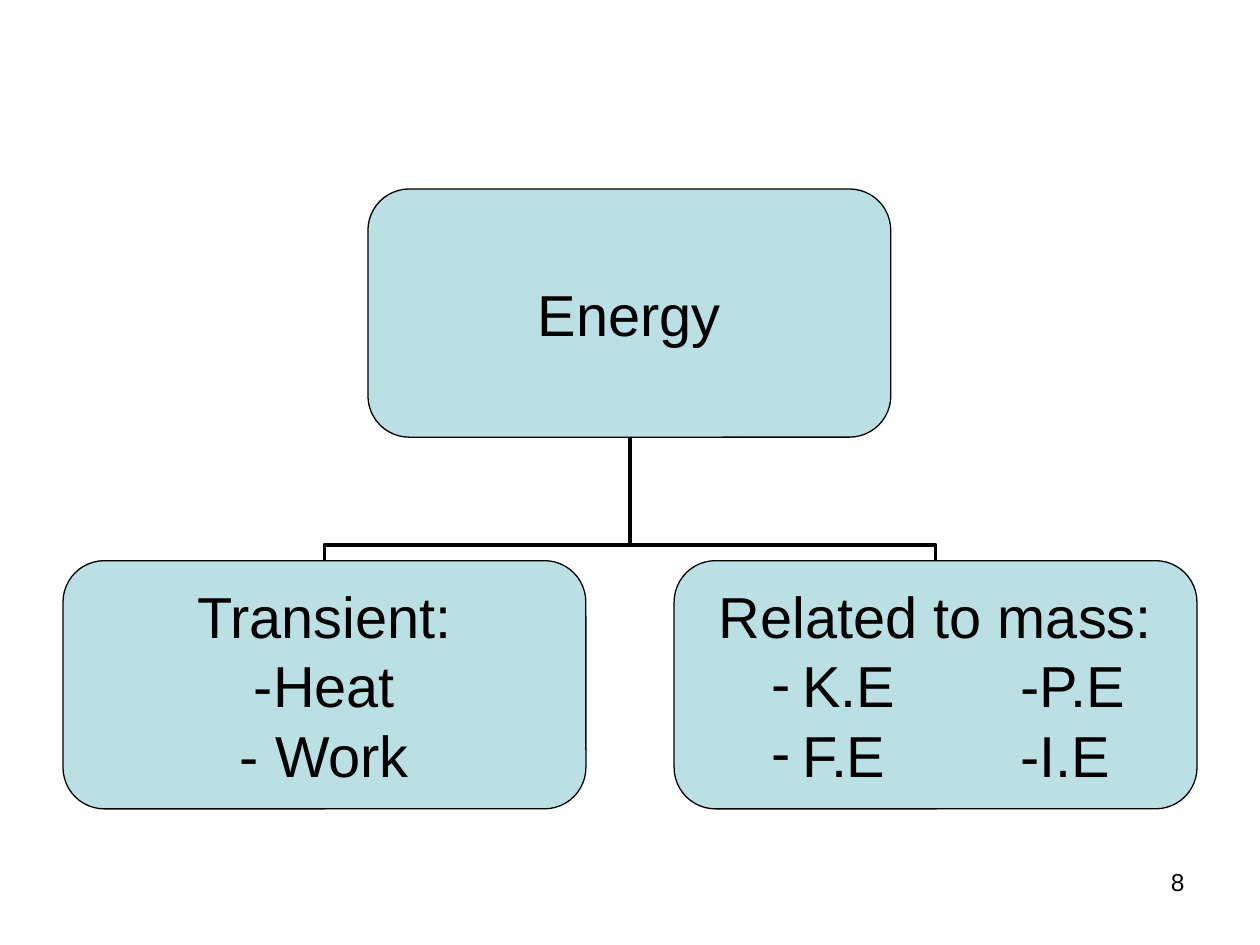
import pptx
import pptx.util
import pptx.dml.color
import pptx.enum.shapes
import pptx.enum.text
import lxml.etree
from dataclasses import dataclass

Inches, Pt = pptx.util.Inches, pptx.util.Pt
RGB = pptx.dml.color.RGBColor
ALIGN = pptx.enum.text.PP_ALIGN
ANCHOR = pptx.enum.text.MSO_ANCHOR


@dataclass
class Theme:
    font: str = "Arial"
    ink: RGB = RGB(0, 0, 0)
    box: RGB = RGB(0xBB, 0xE0, 0xE3)
    box_size: int = 33
    number_size: int = 14


theme = Theme()


def add_xml(parent, tag, **attrs):
    el = lxml.etree.SubElement(parent, pptx.oxml.ns.qn(tag))
    for name, value in attrs.items():
        el.set(name, str(value))
    return el


def style(p, text, size, align):
    p.text = text
    p.alignment = align
    p.font.name = theme.font
    p.font.size = Pt(size)
    p.font.color.rgb = theme.ink


prs = pptx.Presentation()
prs.slide_width, prs.slide_height = Inches(10), Inches(7.5)
s = prs.slides.add_slide(prs.slide_layouts[6])

# Chart geometry: one parent centred above two children
BOX_W, BOX_H = 4.15, 1.97
PARENT_X, PARENT_Y = 2.92, 1.5
CHILD_Y = 4.45
CHILD_XS = (0.5, 5.35)
center_x = 5
drop = CHILD_Y - PARENT_Y - BOX_H

# Elbow connectors, each turned a quarter so it leaves its child vertically
for child_x in CHILD_XS:
    offset = child_x + BOX_W / 2 - center_x
    mid_x, mid_y = center_x + offset / 2, CHILD_Y - drop / 2
    cxn = s.shapes.add_connector(
        pptx.enum.shapes.MSO_CONNECTOR.ELBOW,
        Inches(mid_x - drop / 2), Inches(mid_y + offset / 2),
        Inches(mid_x + drop / 2), Inches(mid_y - offset / 2))
    cxn.line.color.rgb = theme.ink
    cxn.line.width = Pt(2.25)
    sp_pr = cxn._element.spPr
    sp_pr.xfrm.set("rot", str(270 * 60000))
    guides = sp_pr.prstGeom.get_or_add_avLst()
    add_xml(guides, "a:gd", name="adj1", fmla="val 12700")
    add_xml(sp_pr, "a:effectLst")

# Boxes: position and lines; a pair is a dashed item with a second column
boxes = [
    (PARENT_X, PARENT_Y, ["Energy"]),
    (CHILD_XS[0], CHILD_Y, ["Transient:", "-Heat", "- Work"]),
    (CHILD_XS[1], CHILD_Y, ["Related to mass:", ("K.E", "-P.E"), ("F.E", "-I.E")]),
]
INDENT, HANG, COLUMN = 0.92, 0.24, 2.65
for x, y, lines in boxes:
    sp = s.shapes.add_shape(pptx.enum.shapes.MSO_SHAPE.ROUNDED_RECTANGLE,
                            Inches(x), Inches(y), Inches(BOX_W), Inches(BOX_H))
    sp.shadow.inherit = False
    sp.fill.solid()
    sp.fill.fore_color.rgb = theme.box
    sp.line.color.rgb = theme.ink
    sp.line.width = Pt(0.75)
    tf = sp.text_frame
    tf.margin_left = tf.margin_right = tf.margin_top = tf.margin_bottom = 0
    tf.vertical_anchor = ANCHOR.MIDDLE
    tf.word_wrap = True
    for i, line in enumerate(lines):
        p = tf.paragraphs[0] if i == 0 else tf.add_paragraph()
        if isinstance(line, str):
            style(p, line, theme.box_size, ALIGN.CENTER)
            continue
        # Dash bullet and tab stop go before the default run properties
        p_pr = p._p.get_or_add_pPr()
        p_pr.set("marL", str(Inches(INDENT)))
        p_pr.set("indent", str(-Inches(HANG)))
        add_xml(p_pr, "a:buFont", typeface=theme.font)
        add_xml(p_pr, "a:buChar", char="-")
        tabs = add_xml(p_pr, "a:tabLst")
        add_xml(tabs, "a:tab", pos=Inches(COLUMN), algn="l")
        style(p, "\t".join(line), theme.box_size, ALIGN.LEFT)

# Page number
tb = s.shapes.add_textbox(Inches(7.17), Inches(6.83), Inches(2.33), Inches(0.52))
tb.text_frame.word_wrap = True
style(tb.text_frame.paragraphs[0], "8", theme.number_size, ALIGN.RIGHT)

prs.save("out.pptx")
